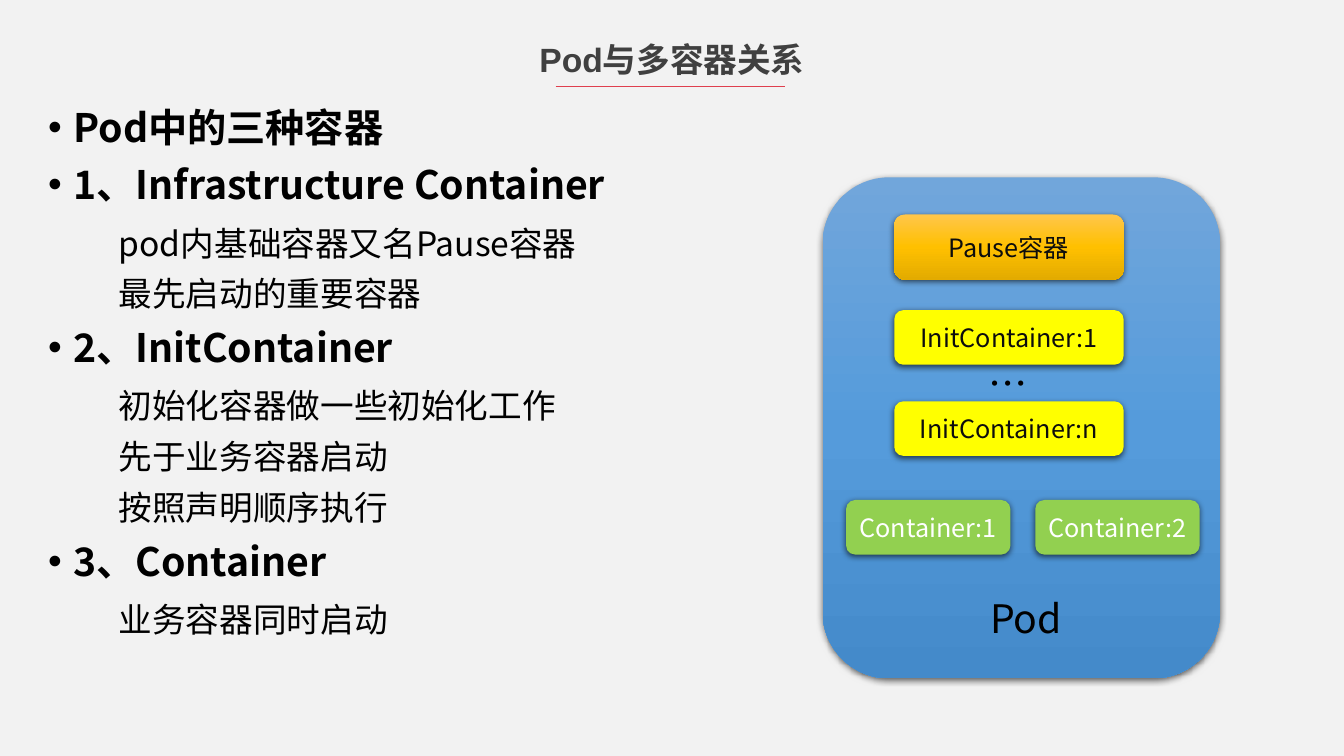
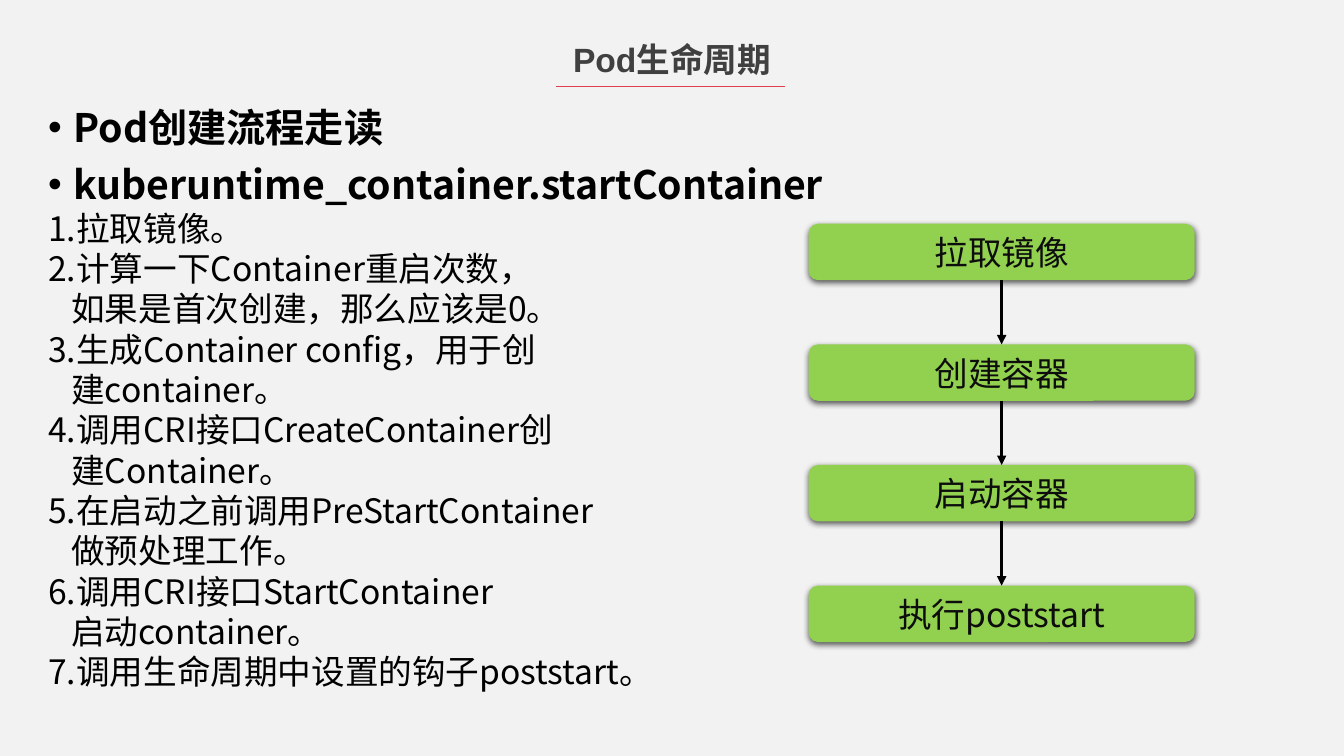
from lxml import etree
from pptx import Presentation
from pptx import util as u
from pptx.dml.color import RGBColor
from pptx.enum import shapes, text
from pptx.oxml.ns import qn

WIDTH, HEIGHT = 13.33, 7.5
SANS, TITLE_FONT = "Noto Sans CJK SC", "Arial"
COLORS = {
    "page": "F2F2F2", "title": "404040", "rule": "DF3F4E", "black": "000000",
    "ink": "0D0D0D", "white": "FFFFFF", "init": "FFFF00", "green": "92D050",
}
GRADIENTS = {
    "pod": ("71A6DB", "559BDB", "448ACA"),
    "pause": ("FFC64B", "FFC000", "E3AB00"),
}
PARAGRAPHS = {
    "head": dict(size=28, bold=True, before=10, line=30.7, margin=0.25, bullet=True),
    "lead": dict(size=24, before=13, line=26.3, margin=0.7),
    "more": dict(size=24, before=10, line=26.3, margin=0.7),
    "step": dict(size=24, line=28.8, margin=0.23, hanging=0.23),
}


def rgb(name):
    """Return the named palette colour."""
    return RGBColor.from_string(COLORS[name])


def inches(box):
    """Convert a box of plain numbers to lengths."""
    return [u.Inches(value) for value in box]


def sub(parent, tag, **attributes):
    """Append a DrawingML element to its parent."""
    return etree.SubElement(parent, qn("a:" + tag), {k: str(v) for k, v in attributes.items()})


def write(paragraph, words, size=18, color="black", bold=False, font=SANS, align=None,
          before=0, line=None, margin=0, hanging=0, bullet=False):
    """Fill a paragraph with formatted words."""
    paragraph.text = words
    paragraph.alignment = align
    paragraph.space_before = u.Pt(before)
    if line:
        paragraph.line_spacing = u.Pt(line)
    properties = paragraph._p.get_or_add_pPr()
    properties.set("marL", str(u.Inches(margin)))
    properties.set("indent", str(-u.Inches(margin if bullet else hanging)))
    if bullet:
        sub(properties, "buFont", typeface="Arial")
        sub(properties, "buChar", char="•")
    for run in paragraph.runs:
        run.font.size, run.font.bold, run.font.name = u.Pt(size), bold, font
        run.font.color.rgb = rgb(color)
        sub(run._r.get_or_add_rPr(), "ea", typeface=SANS)


def label(slide, box, words, size):
    """Place a single line of free text."""
    frame = slide.shapes.add_textbox(*inches(box)).text_frame
    frame.word_wrap = True
    frame.vertical_anchor = text.MSO_ANCHOR.MIDDLE
    write(frame.paragraphs[0], words, size=size)


def card(slide, box, fill, words="", size=18, color="ink"):
    """Place a rounded card with a soft shadow and centred words."""
    block = slide.shapes.add_shape(shapes.MSO_SHAPE.ROUNDED_RECTANGLE, *inches(box))
    if fill in GRADIENTS:
        block.fill.gradient()
        block.fill.gradient_angle = 270
        stops = block._element.spPr.find(".//" + qn("a:gsLst"))
        for stop in list(stops):
            stops.remove(stop)
        for index, shade in enumerate(GRADIENTS[fill]):
            sub(sub(stops, "gs", pos=index * 50000), "srgbClr", val=shade)
    else:
        block.fill.solid()
        block.fill.fore_color.rgb = rgb(fill)
    block.line.fill.background()
    block.shadow.inherit = False
    shadow = sub(block._element.spPr.find(qn("a:effectLst")), "outerShdw",
                 blurRad=u.Pt(4.5), dist=u.Pt(1.5), dir=5400000, algn="ctr", rotWithShape=0)
    sub(sub(shadow, "srgbClr", val=COLORS["black"]), "alpha", val=63000)
    block.text_frame.vertical_anchor = text.MSO_ANCHOR.MIDDLE
    if words:
        write(block.text_frame.paragraphs[0], words, size=size, color=color,
              align=text.PP_ALIGN.CENTER)
    return block


def connect(slide, start, end, color, width):
    """Draw a plain straight line between two points."""
    link = slide.shapes.add_connector(shapes.MSO_CONNECTOR.STRAIGHT, *inches(start + end))
    link.line.color.rgb = rgb(color)
    link.line.width = u.Pt(width)
    sub(link._element.spPr, "effectLst")
    return link


def titled_slide(deck, heading):
    """Add a slide with the shared title and its underline."""
    slide = deck.slides.add_slide(deck.slide_layouts[5])
    title = slide.shapes.title
    title.left, title.top, title.width, title.height = inches((4.52, 0.34, 4.29, 0.5))
    title.text_frame.vertical_anchor = text.MSO_ANCHOR.MIDDLE
    write(title.text_frame.paragraphs[0], heading, size=24, color="title", bold=True,
          font=TITLE_FONT, align=text.PP_ALIGN.CENTER)
    connect(slide, (5.51, 0.86), (7.79, 0.86), "rule", 0.5)
    return slide


def body(slide, box, entries):
    """Write the left-hand text from pairs of paragraph style and words."""
    frame = slide.shapes.add_textbox(*inches(box)).text_frame
    frame.word_wrap = True
    for index, (style, words) in enumerate(entries):
        paragraph = frame.add_paragraph() if index else frame.paragraphs[0]
        write(paragraph, words, **PARAGRAPHS[style])


def pod_diagram(slide, box):
    """Draw the pod and its containers on a grid of 40 columns and 50 rows."""
    left, top, width, height = box

    def cell(column, row, columns, rows):
        """Turn grid units into a box on the slide."""
        return (left + column * width / 40, top + row * height / 50,
                columns * width / 40, rows * height / 50)

    card(slide, box, "pod")
    card(slide, cell(7.2, 3.7, 23.1, 6.5), "pause", "Pause容器")
    for row, suffix in ((13.25, "1"), (22.35, "n")):
        card(slide, cell(7.2, row, 23.1, 5.45), "init", f"InitContainer:{suffix}")
    for column, suffix in ((2.35, "1"), (21.4, "2")):
        card(slide, cell(column, 32.2, 16.55, 5.45), "green", f"Container:{suffix}",
             color="white")
    label(slide, cell(15.65, 17.7, 17.5, 5.7), "…", 28)
    label(slide, cell(15.85, 41.15, 21, 5.7), "Pod", 28)


def flow(slide, box, stages):
    """Stack the stages evenly in the box and join them with arrows."""
    left, top, width, height = box
    stage_height = 0.56
    pitch = (height - stage_height) / (len(stages) - 1)
    blocks = [card(slide, (left, top + index * pitch, width, stage_height), "green", words, 24)
              for index, words in enumerate(stages)]
    for upper, lower in zip(blocks, blocks[1:]):
        arrow = connect(slide, (left, top), (left, top), "black", 2.25)
        arrow.begin_connect(upper, 2)
        arrow.end_connect(lower, 0)
        sub(arrow.line._get_or_add_ln(), "tailEnd", type="triangle")


def containers_slide(deck):
    """Build the slide on the pod and its containers."""
    slide = titled_slide(deck, "Pod与多容器关系")
    body(slide, (0.38, 1.02, 12.13, 6), [
        ("head", "Pod中的三种容器"),
        ("head", "1、Infrastructure Container"),
        ("lead", "pod内基础容器又名Pause容器"),
        ("more", "最先启动的重要容器"),
        ("head", "2、InitContainer"),
        ("lead", "初始化容器做一些初始化工作"),
        ("more", "先于业务容器启动"),
        ("more", "按照声明顺序执行"),
        ("head", "3、Container"),
        ("lead", "业务容器同时启动"),
    ])
    pod_diagram(slide, (8.16, 1.76, 3.94, 4.97))


def lifecycle_slide(deck):
    """Build the slide on the life cycle of a pod."""
    slide = titled_slide(deck, "Pod生命周期")
    steps = [
        "1.拉取镜像。",
        "2.计算一下Container重启次数，\v如果是首次创建，那么应该是0。",
        "3.生成Container config，用于创\v建container。",
        "4.调用CRI接口CreateContainer创\v建Container。",
        "5.在启动之前调用PreStartContainer\v做预处理工作。",
        "6.调用CRI接口StartContainer\v启动container。",
        "7.调用生命周期中设置的钩子poststart。",
    ]
    body(slide, (0.38, 1.02, 12.13, 6.4), [
        ("head", "Pod创建流程走读"),
        ("head", "kuberuntime_container.startContainer"),
        *(("step", step) for step in steps),
    ])
    flow(slide, (8.02, 2.22, 3.83, 4.15),
         ["拉取镜像", "创建容器", "启动容器", "执行poststart"])


def main():
    """Build and save the presentation."""
    deck = Presentation()
    deck.slide_width, deck.slide_height = inches((WIDTH, HEIGHT))
    backdrop = deck.slide_master.background.fill
    backdrop.solid()
    backdrop.fore_color.rgb = rgb("page")
    containers_slide(deck)
    lifecycle_slide(deck)
    deck.save("out.pptx")


if __name__ == "__main__":
    main()
